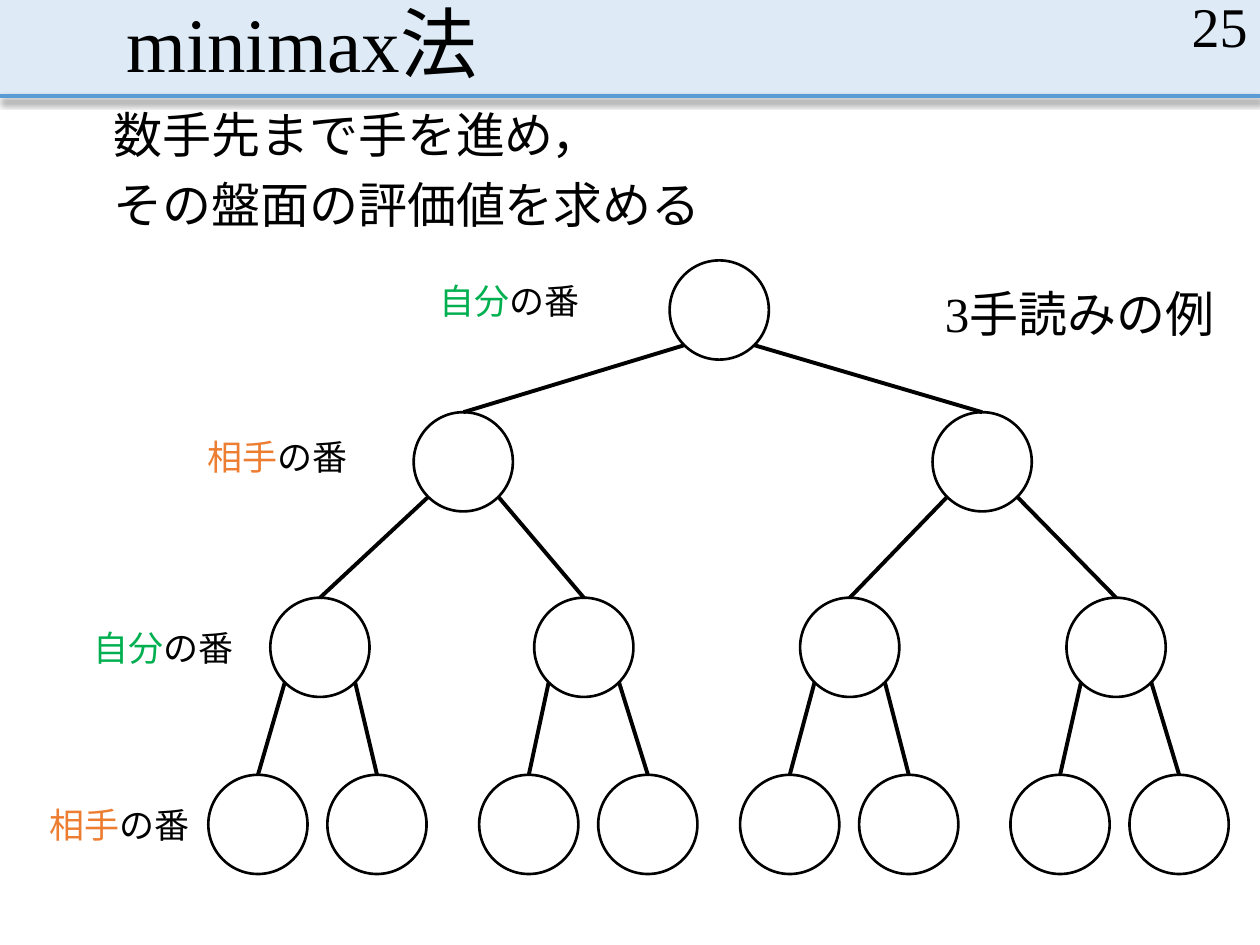
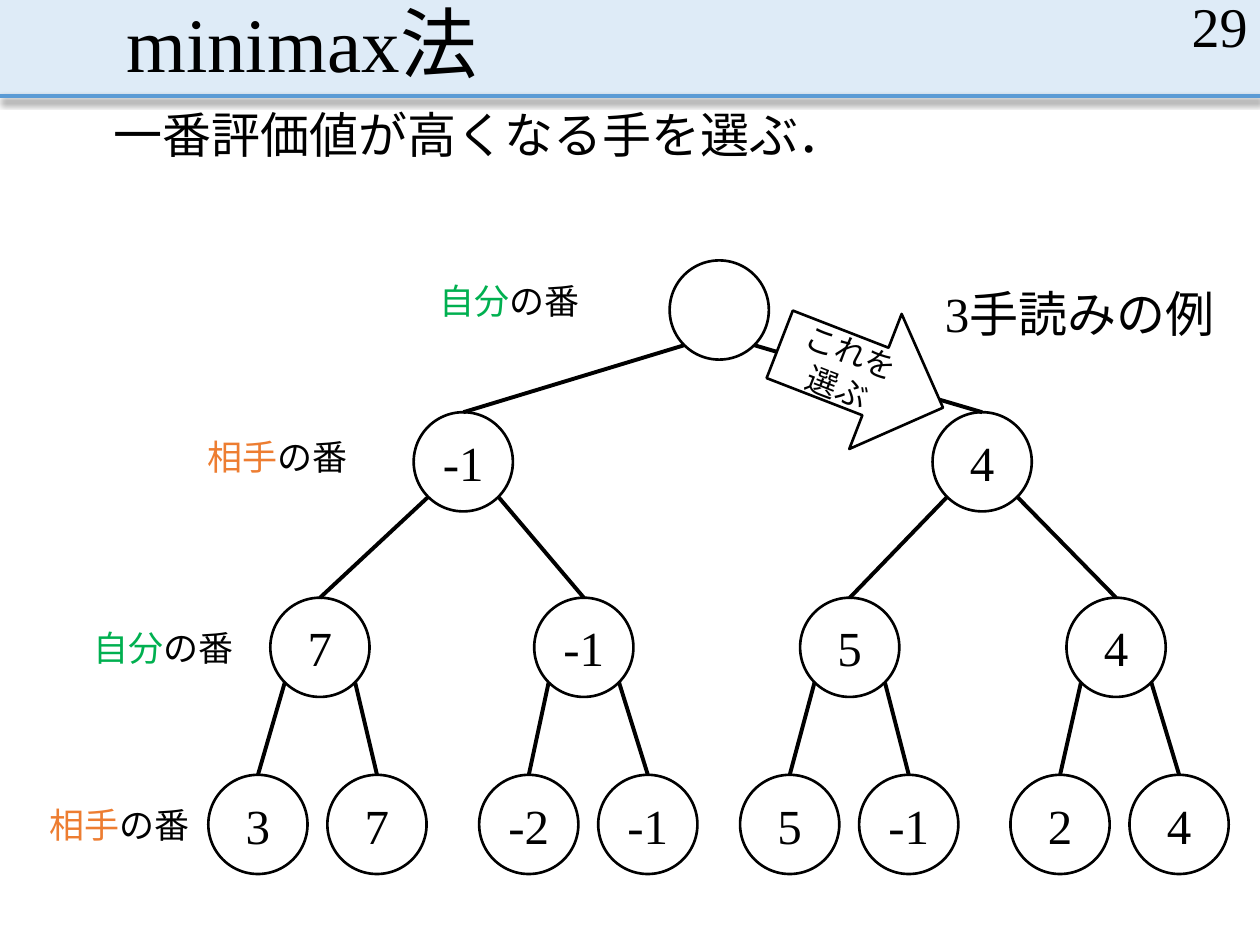
from lxml import etree
from pptx import Presentation
from pptx import util as u
from pptx.dml.color import RGBColor
from pptx.enum import lang, shapes, text
from pptx.oxml.ns import qn

FONT = "Times New Roman"
COLORS = {
    "black": "000000",
    "white": "FFFFFF",
    "band": "DEEBF7",
    "rule": "5B9BD5",
    "自分": "00B050",
    "相手": "ED7D31",
}
SLIDE_WIDTH, SLIDE_HEIGHT = 25.4, 19.05
BAND_HEIGHT = 1.93

# Tree layout in cm: top of each level and the centre of each node on it
DIAMETER = 2
LEAF_GAP = 2.4
LEVEL_TOPS = [5.25, 8.31, 12.05, 15.62]
LEVEL_CENTERS = [
    [14.5],
    [9.34, 19.8],
    [6.45, 11.77, 17.13, 22.5],
    [x + step for x in (5.2, 10.66, 15.92, 21.37) for step in (0, LEAF_GAP)],
]
DIAGONAL = DIAMETER / 2 * 0.71

# Whose turn each level is, with the left and top of its label
TURN_LABELS = [
    ("自分", 8.61, 5.51),
    ("相手", 3.94, 8.66),
    ("自分", 1.63, 12.5),
    ("相手", 0.74, 16.08),
]
EMPTY_TREE = [[""] * len(centers) for centers in LEVEL_CENTERS]
SCORED_TREE = [
    [""],
    ["-1", "4"],
    ["7", "-1", "5", "4"],
    ["3", "7", "-2", "-1", "5", "-1", "2", "4"],
]


def rgb(name):
    return RGBColor.from_string(COLORS[name])


def add_run(paragraph, words, size, color="black"):
    run = paragraph.add_run()
    run.text = words
    run.font.name = FONT
    run.font.size = u.Pt(size)
    run.font.color.rgb = rgb(color)
    run.font.language_id = lang.MSO_LANGUAGE_ID.JAPANESE


def add_text_box(slide, left, top, width, height):
    box = slide.shapes.add_textbox(u.Cm(left), u.Cm(top), u.Cm(width), u.Cm(height))
    box.text_frame.word_wrap = True
    return box.text_frame


def add_outlined_shape(slide, kind, left, top, width, height, words, size):
    shape = slide.shapes.add_shape(kind, u.Cm(left), u.Cm(top), u.Cm(width), u.Cm(height))
    shape.shadow.inherit = False
    shape.fill.solid()
    shape.fill.fore_color.rgb = rgb("white")
    shape.line.color.rgb = rgb("black")
    shape.line.width = u.Pt(1.5)
    if words:
        shape.text_frame.vertical_anchor = text.MSO_ANCHOR.MIDDLE
        paragraph = shape.text_frame.paragraphs[0]
        paragraph.alignment = text.PP_ALIGN.CENTER
        add_run(paragraph, words, size)
    return shape


def add_line(slide, start, end, color="black"):
    """Draw a line and return it with its empty effect list."""
    line = slide.shapes.add_connector(
        shapes.MSO_CONNECTOR.STRAIGHT, *(u.Cm(value) for value in (*start, *end))
    )
    line.line.color.rgb = rgb(color)
    line.line.width = u.Pt(2.25)
    effects = etree.SubElement(line._element.spPr, qn("a:effectLst"))
    return line, effects


def add_header(slide, title, number):
    # Band and its rule with a soft shadow
    band = slide.shapes.add_shape(
        shapes.MSO_SHAPE.RECTANGLE, 0, 0, u.Cm(SLIDE_WIDTH), u.Cm(BAND_HEIGHT)
    )
    band.shadow.inherit = False
    band.fill.solid()
    band.fill.fore_color.rgb = rgb("band")
    band.line.fill.background()
    _, effects = add_line(slide, (0, BAND_HEIGHT), (SLIDE_WIDTH, BAND_HEIGHT), "rule")
    shadow = etree.SubElement(
        effects, qn("a:outerShdw"), blurRad=str(u.Pt(4)), dist=str(u.Pt(2.5)),
        dir="5400000", algn="t", rotWithShape="0",
    )
    shade = etree.SubElement(shadow, qn("a:srgbClr"), val=COLORS["black"])
    etree.SubElement(shade, qn("a:alpha"), val="47000")

    # Title, brought in front of the band
    placeholder = slide.shapes.title
    slide.shapes._spTree.append(placeholder._element)
    placeholder.left, placeholder.top = u.Cm(2.29), 0
    placeholder.width, placeholder.height = u.Cm(20.96), u.Cm(BAND_HEIGHT)
    frame = placeholder.text_frame
    frame.auto_size = text.MSO_AUTO_SIZE.NONE
    frame.vertical_anchor = text.MSO_ANCHOR.BOTTOM
    paragraph = frame.paragraphs[0]
    paragraph.alignment = text.PP_ALIGN.LEFT
    paragraph.line_spacing = 0.9
    add_run(paragraph, title, 44)

    # Slide number
    frame = add_text_box(slide, 19.69, 0, 5.71, 1.02)
    frame.vertical_anchor = text.MSO_ANCHOR.MIDDLE
    frame.paragraphs[0].alignment = text.PP_ALIGN.RIGHT
    add_run(frame.paragraphs[0], number, 32)


def add_body(slide, lines):
    frame = add_text_box(slide, 2.29, 2.11, 21.49, 2.79)
    frame.margin_left = frame.margin_right = 0
    for index, words in enumerate(lines):
        paragraph = frame.add_paragraph() if index else frame.paragraphs[0]
        paragraph.line_spacing = 0.9
        if index:
            paragraph.space_before = u.Pt(10)
        add_run(paragraph, words, 28)


def add_tree(slide, values):
    # Nodes, level by level
    nodes = [
        [
            add_outlined_shape(slide, shapes.MSO_SHAPE.OVAL, center - DIAMETER / 2, top,
                               DIAMETER, DIAMETER, value, 28)
            for center, value in zip(centers, level_values)
        ]
        for top, centers, level_values in zip(LEVEL_TOPS, LEVEL_CENTERS, values)
    ]

    # Edges from a parent's lower left or right to the top of each child
    for level in range(1, len(nodes)):
        parent_y = LEVEL_TOPS[level - 1] + DIAMETER / 2 + DIAGONAL
        for index, child in enumerate(nodes[level]):
            side = DIAGONAL if index % 2 else -DIAGONAL
            start = (LEVEL_CENTERS[level - 1][index // 2] + side, parent_y)
            end = (LEVEL_CENTERS[level][index], LEVEL_TOPS[level])
            edge, _ = add_line(slide, start, end)
            edge.end_connect(child, 0)

    # Turn labels
    for player, left, top in TURN_LABELS:
        frame = add_text_box(slide, left, top, 3.45, 1.12)
        add_run(frame.paragraphs[0], player, 20, player)
        add_run(frame.paragraphs[0], "の番", 20)


def add_choice_arrow(slide):
    arrow = add_outlined_shape(slide, shapes.MSO_SHAPE.RIGHT_ARROW,
                               15.6, 6.12, 3.53, 2.92, "これを選ぶ", 18)
    arrow.rotation = 21.2


def add_depth_note(slide):
    frame = add_text_box(slide, 18.8, 5.59, 5.99, 1.45)
    add_run(frame.paragraphs[0], "3手読みの例", 28)


def add_minimax_slide(presentation, number, lines, values, show_choice=False):
    slide = presentation.slides.add_slide(presentation.slide_layouts[5])
    add_header(slide, "minimax法", number)
    add_body(slide, lines)
    add_tree(slide, values)
    if show_choice:
        add_choice_arrow(slide)
    add_depth_note(slide)


def main():
    presentation = Presentation()
    presentation.slide_width = u.Cm(SLIDE_WIDTH)
    presentation.slide_height = u.Cm(SLIDE_HEIGHT)
    add_minimax_slide(presentation, "25",
                      ["数手先まで手を進め，", "その盤面の評価値を求める"], EMPTY_TREE)
    add_minimax_slide(presentation, "29",
                      ["一番評価値が高くなる手を選ぶ．"], SCORED_TREE, show_choice=True)
    presentation.save("out.pptx")


if __name__ == "__main__":
    main()
